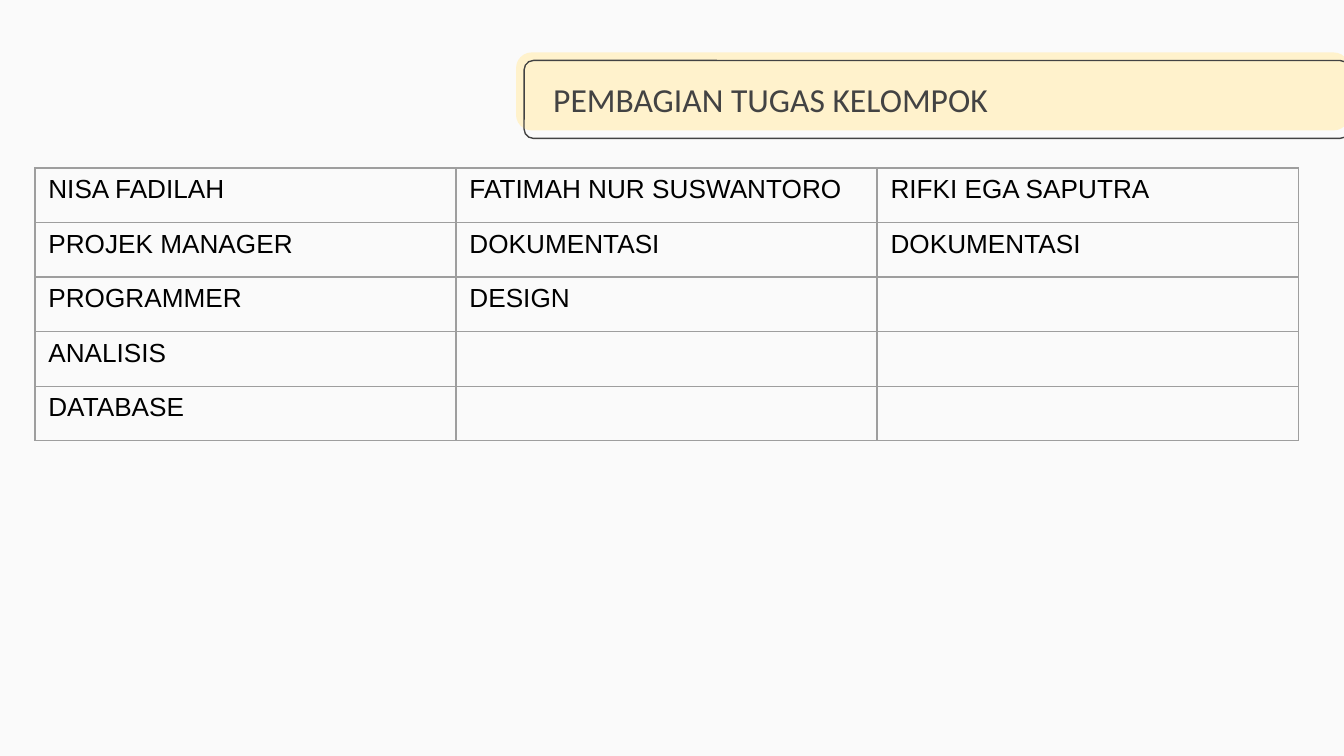
"""Build the slide that shows how the group's tasks are divided."""
import pptx
import pptx.dml.color
import pptx.enum.shapes
import pptx.enum.text
import pptx.oxml
import pptx.oxml.ns
import pptx.util

Inches, Pt = pptx.util.Inches, pptx.util.Pt
Align, Anchor = pptx.enum.text.PP_ALIGN, pptx.enum.text.MSO_ANCHOR

TITLE = "PEMBAGIAN TUGAS KELOMPOK"
TASKS = {
    "NISA FADILAH": ["PROJEK MANAGER", "PROGRAMMER", "ANALISIS", "DATABASE"],
    "FATIMAH NUR SUSWANTORO": ["DOKUMENTASI", "DESIGN"],
    "RIFKI EGA SAPUTRA": ["DOKUMENTASI"],
}
THEME = {
    "back": "FAFAFA", "band": "FFF2CC", "dark": "434343",
    "grid": "9E9E9E", "line": 0.75,
    "title": {"size": 18, "font": "Calibri", "color": "434343"},
    "body": {"size": 14, "font": "Arial", "color": "000000"},
}


def rgb(code):
    return pptx.dml.color.RGBColor.from_string(code)


def write(frame, text, *, size, font, color, align=Align.LEFT):
    par = frame.paragraphs[0]
    par.alignment = align
    par.font.size = Pt(size)
    if text:
        run = par.add_run()
        run.text = text
        run.font.size, run.font.name = Pt(size), font
        run.font.color.rgb = rgb(color)


def panel(slide, box, adjust, fill=None, line=None):
    kind = pptx.enum.shapes.MSO_SHAPE.ROUNDED_RECTANGLE
    shape = slide.shapes.add_shape(kind, *map(Inches, box))
    shape.adjustments[0] = adjust
    shape.shadow.inherit = False
    if fill:
        shape.fill.solid()
        shape.fill.fore_color.rgb = rgb(fill)
    else:
        shape.fill.background()
    if line:
        shape.line.color.rgb = rgb(line)
        shape.line.width = Pt(THEME["line"])
    else:
        shape.line.fill.background()


def border(cell):
    props = cell._tc.get_or_add_tcPr()
    for spot, side in enumerate("LRTB"):
        props.insert(spot, pptx.oxml.parse_xml(
            f'<a:ln{side} {pptx.oxml.ns.nsdecls("a")} w="{Pt(THEME["line"])}">'
            f'<a:solidFill><a:srgbClr val="{THEME["grid"]}"/></a:solidFill>'
            f'</a:ln{side}>'))


def heading(slide):
    panel(slide, (3.84, 0.39, 6.2, 0.58), 0.2, fill=THEME["band"])
    panel(slide, (3.9, 0.45, 6.14, 0.58), 0.12, line=THEME["dark"])
    box = slide.shapes.add_textbox(*map(Inches, (3.96, 0.47, 3.49, 0.53)))
    frame = box.text_frame
    frame.word_wrap = True
    frame.vertical_anchor = Anchor.MIDDLE
    frame.margin_left = frame.margin_right = Inches(0.1)
    frame.margin_top = frame.margin_bottom = Inches(0.1)
    write(frame, TITLE, align=Align.RIGHT, **THEME["title"])


def chores(slide):
    rows = 1 + max(map(len, TASKS.values()))
    size = map(Inches, (0.26, 1.25, 9.4, 2.03))
    table = slide.shapes.add_table(rows, len(TASKS), *size).table
    table.first_row = table.horz_banding = False
    for col, (name, jobs) in enumerate(TASKS.items()):
        texts = [name, *jobs] + [""] * (rows - 1 - len(jobs))
        for row, text in enumerate(texts):
            cell = table.cell(row, col)
            cell.fill.background()
            border(cell)
            write(cell.text_frame, text, **THEME["body"])


def main():
    deck = pptx.Presentation()
    deck.slide_width = Inches(10)
    deck.slide_height = deck.slide_width * 9 // 16
    slide = deck.slides.add_slide(deck.slide_layouts[6])
    slide.background.fill.solid()
    slide.background.fill.fore_color.rgb = rgb(THEME["back"])
    heading(slide)
    chores(slide)
    deck.save("out.pptx")


if __name__ == "__main__":
    main()
